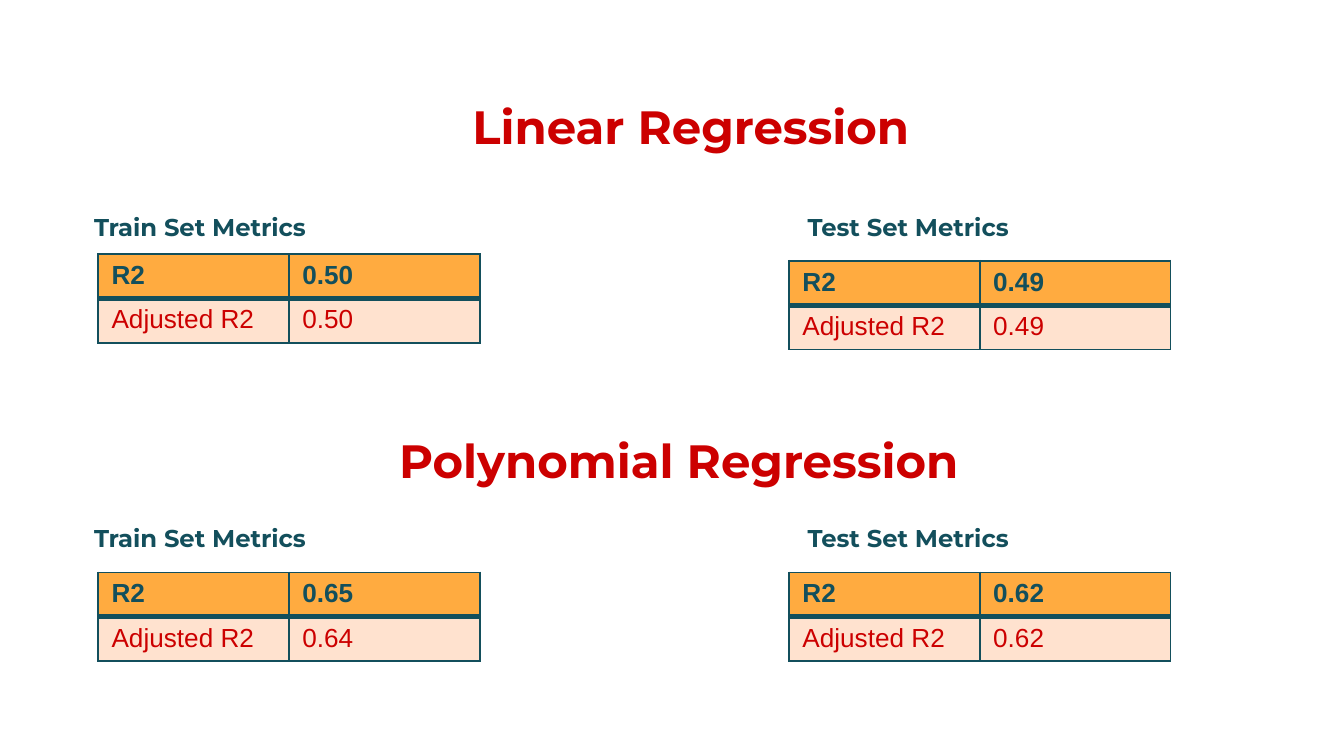
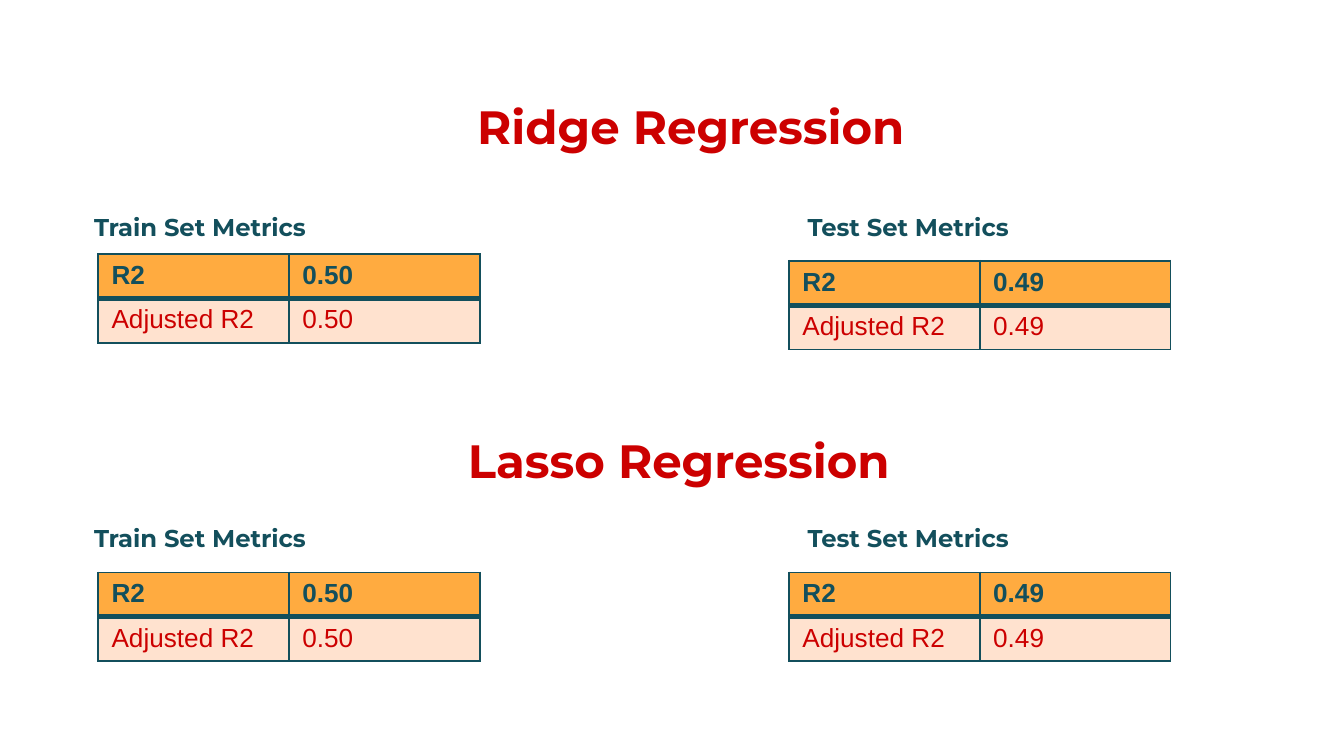
"""Build two slides that compare train and test metrics of regression models."""
from lxml import etree
from pptx import Presentation
from pptx.dml.color import RGBColor
from pptx.enum import text
from pptx.oxml import ns
from pptx.util import Inches, Pt

COLORS = {"red": "CC0000", "teal": "134F5C", "orange": "FFAB40", "peach": "FFE2CF"}
MODELS = [
    [("Linear Regression", ("0.50", "0.50"), ("0.49", "0.49")),
     ("Polynomial Regression", ("0.65", "0.64"), ("0.62", "0.62"))],
    [("Ridge Regression", ("0.50", "0.50"), ("0.49", "0.49")),
     ("Lasso Regression", ("0.50", "0.50"), ("0.49", "0.49"))],
]
BANDS = [
    {"title": (0.48, 0.63, 9.32, 0.49), "labels": 1.45, "tables": (1.89, 1.94)},
    {"title": (0.39, 3.11, 9.32, 0.66), "labels": 3.76, "tables": (4.26, 4.26)},
]
TABLE_LEFTS = (0.73, 5.87)
ROWS = [("R2", "orange", "teal", True), ("Adjusted R2", "peach", "red", False)]


def write(tf, words, size, font, color, bold):
    tf.text = words
    p = tf.paragraphs[0]
    f = p.runs[0].font
    f.size, f.name, f.bold = Pt(size), font, bold
    f.color.rgb = RGBColor.from_string(COLORS[color])
    return p


def set_frame(sp, box, left_inset=0.1):
    sp.left, sp.top, sp.width, sp.height = [Inches(v) for v in box]
    tf = sp.text_frame
    tf.word_wrap = True
    tf.auto_size = text.MSO_AUTO_SIZE.NONE
    tf.vertical_anchor = text.MSO_ANCHOR.TOP
    tf.margin_top = tf.margin_right = tf.margin_bottom = Inches(0.1)
    tf.margin_left = Inches(left_inset)
    return tf


prs = Presentation()
prs.slide_width = Inches(10)
prs.slide_height = prs.slide_width * 9 // 16

for models in MODELS:
    s = prs.slides.add_slide(prs.slide_layouts[5])
    headings = [s.shapes.add_textbox(0, 0, 0, 0), s.shapes.title]

    for heading, band, (name, *metrics) in zip(headings, BANDS, models):
        tf = set_frame(heading, band["title"])
        p = write(tf, name, 25, "Montserrat", "red", True)
        p.alignment = text.PP_ALIGN.CENTER

        labels = s.shapes.add_textbox(0, 0, 0, 0)
        tf = set_frame(labels, (0.48, band["labels"], 9.32, 1.66), 0.22)
        p = write(tf, "Train Set Metrics\tTest Set Metrics", 13, "Montserrat", "teal", True)
        p.line_spacing = 1.15
        tabs = etree.SubElement(p._p.get_or_add_pPr(), ns.qn("a:tabLst"))
        etree.SubElement(tabs, ns.qn("a:tab"), pos=str(Inches(5.31)), algn="l")

        for left, top, values in zip(TABLE_LEFTS, band["tables"], metrics):
            frame = s.shapes.add_table(2, 2, Inches(left), Inches(top), Inches(2.84), Inches(0.66))
            table = frame.table
            for r, (metric, fill, color, bold) in enumerate(ROWS):
                for c, words in enumerate((metric, values[r])):
                    cell = table.cell(r, c)
                    write(cell.text_frame, words, 14, "Arial", color, bold)
                    tcPr = cell._tc.get_or_add_tcPr()
                    for side in "LRTB":
                        width = 3 if side == "BT"[r] else 1
                        ln = etree.SubElement(tcPr, ns.qn("a:ln" + side), w=str(Pt(width)))
                        line_fill = etree.SubElement(ln, ns.qn("a:solidFill"))
                        etree.SubElement(line_fill, ns.qn("a:srgbClr"), val=COLORS["teal"])
                    cell.fill.solid()
                    cell.fill.fore_color.rgb = RGBColor.from_string(COLORS[fill])

prs.save("out.pptx")
